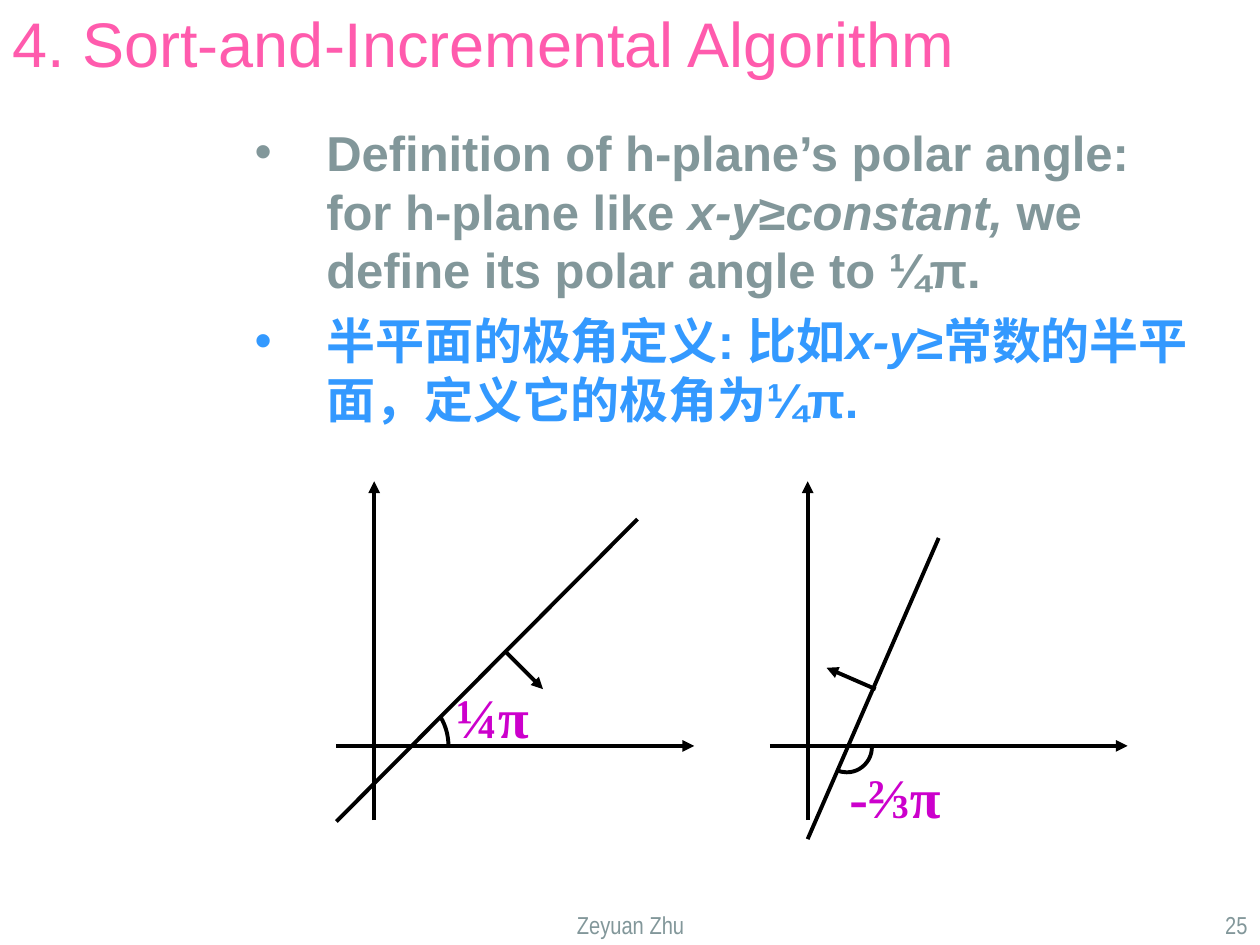
import pptx
import pptx.util
import pptx.dml.color
import pptx.enum.shapes
import pptx.enum.text
import pptx.oxml
import pptx.oxml.ns
import lxml.etree

Inches, Pt = pptx.util.Inches, pptx.util.Pt
ALIGN = pptx.enum.text.PP_ALIGN
ANCHOR = pptx.enum.text.MSO_ANCHOR
SHAPE = pptx.enum.shapes.MSO_SHAPE
PINK, GRAY, BLUE = "FF5BAD", "82979A", "3399FF"
PURPLE, BLACK = "CC00CC", "000000"
LINE_WIDTH = 2.24


def rgb(value):
    return pptx.dml.color.RGBColor.from_string(value)


def add_xml(parent, tag, **attrs):
    child = lxml.etree.SubElement(parent, pptx.oxml.ns.qn(tag))
    for name, value in attrs.items():
        child.set(name, value)
    return child


def place(sp, left, top, width, height):
    sp.left, sp.top = Inches(left), Inches(top)
    sp.width, sp.height = Inches(width), Inches(height)


def add_run(p, text, size, font, color, bold=False, italic=False):
    r = p.add_run()
    r.text = text
    r.font.size, r.font.name = Pt(size), font
    r.font.bold, r.font.italic = bold, italic
    r.font.color.rgb = rgb(color)


def set_frame(tf, anchor, inset=True):
    tf.word_wrap = True
    tf.auto_size = pptx.enum.text.MSO_AUTO_SIZE.NONE
    tf.vertical_anchor = anchor
    tf.margin_left = tf.margin_right = Inches(0.1 if inset else 0)
    tf.margin_top = tf.margin_bottom = Inches(0.05 if inset else 0)


def add_text(s, box, text, size, font, color, align, bold=False, inset=True):
    sp = s.shapes.add_textbox(*map(Inches, box))
    set_frame(sp.text_frame, ANCHOR.TOP, inset)
    p = sp.text_frame.paragraphs[0]
    p.alignment = align
    add_run(p, text, size, font, color, bold)


def add_bullet(p, parts, color):
    """Parts alternate between upright and italic; a newline breaks the line."""
    p.alignment = ALIGN.LEFT
    p.space_before = Pt(7)
    pPr = p._p.get_or_add_pPr()
    pPr.set("marL", str(Inches(0.57)))
    pPr.set("indent", str(-Inches(0.57)))
    add_xml(add_xml(pPr, "a:buClr"), "a:srgbClr", val=color)
    add_xml(pPr, "a:buFont", typeface="Arial")
    add_xml(pPr, "a:buChar", char="•")
    for i, part in enumerate(parts):
        for j, text in enumerate(part.split("\n")):
            if j:
                p.add_line_break()
            add_run(p, text, 28, "Arial", color, True, i % 2 == 1)


def add_line(s, start, end, arrow=False):
    cx = s.shapes.add_connector(pptx.enum.shapes.MSO_CONNECTOR.STRAIGHT,
                                *map(Inches, start + end))
    cx.line.width = Pt(LINE_WIDTH)
    cx.line.color.rgb = rgb(BLACK)
    if arrow:
        add_xml(cx.line._get_or_add_ln(), "a:tailEnd", type="triangle")
    add_xml(cx._element.spPr, "a:effectLst")


def add_arc(s, center, radius, start, end):
    """Angles are in degrees, clockwise from the x axis."""
    x, y = center
    sp = s.shapes.add_shape(SHAPE.ARC, Inches(x - radius), Inches(y - radius),
                            Inches(2 * radius), Inches(2 * radius))
    sp.adjustments[0], sp.adjustments[1] = start * 0.6, end * 0.6
    sp.shadow.inherit = False
    sp.fill.background()
    sp.line.width = Pt(LINE_WIDTH)
    sp.line.color.rgb = rgb(BLACK)


def add_graph(s, left, boundary, normal, arc, label, label_box):
    # Axes, measured from the left end of the x axis
    add_line(s, (left, 5.92), (left + 2.84, 5.92), True)
    add_line(s, (left + 0.3, 6.51), (left + 0.3, 3.82), True)
    # Half-plane boundary, its normal and its angle
    add_line(s, *boundary)
    add_line(s, *normal, True)
    add_arc(s, *arc)
    add_text(s, label_box, label, 32, "Times New Roman", PURPLE,
             ALIGN.JUSTIFY, bold=True, inset=False)


def main():
    prs = pptx.Presentation()
    prs.slide_width, prs.slide_height = Inches(10), Inches(7.5)
    s = prs.slides.add_slide(prs.slide_layouts[1])

    # Title
    title = s.shapes.title
    place(title, 0, 0, 8.17, 0.67)
    set_frame(title.text_frame, ANCHOR.MIDDLE)
    p = title.text_frame.paragraphs[0]
    p.alignment = ALIGN.LEFT
    add_run(p, "4. Sort-and-Incremental Algorithm", 36, "Arial", PINK)

    # Definition in both languages
    body = s.placeholders[1]
    place(body, 1.92, 0.92, 7.92, 2.88)
    tf = body.text_frame
    set_frame(tf, ANCHOR.TOP)
    add_bullet(tf.paragraphs[0],
               ["Definition of h-plane’s polar angle:\nfor h-plane like ",
                "x-y", "≥", "constant,",
                " we define its polar angle to ¼π."], GRAY)
    add_bullet(tf.add_paragraph(),
               ["半平面的极角定义: 比如", "x-y",
                "≥常数的半平面，定义它的极角为¼π."], BLUE)

    # Two example half-planes
    add_graph(s, 2.67, ((2.67, 6.52), (5.06, 4.12)),
              ((4.01, 5.17), (4.31, 5.47)),
              ((3.11, 5.92), 0.45, 329.5, 0),
              "¼π", (3.62, 5.42, 0.88, 0.5))
    add_graph(s, 6.11, ((7.45, 4.27), (6.41, 6.66)),
              ((6.95, 5.47), (6.56, 5.3)),
              ((6.72, 5.93), 0.2, 0, 114),
              "-⅔π", (6.74, 6.05, 0.99, 0.54))

    # Footer and page number
    for text, left, width, align in (("Zeyuan Zhu", 3.42, 3.17, ALIGN.CENTER),
                                     ("25", 7.92, 2.08, ALIGN.RIGHT)):
        add_text(s, (left, 7.17, width, 0.33), text, 14, "Arial Narrow",
                 GRAY, align)

    prs.save("out.pptx")


main()
